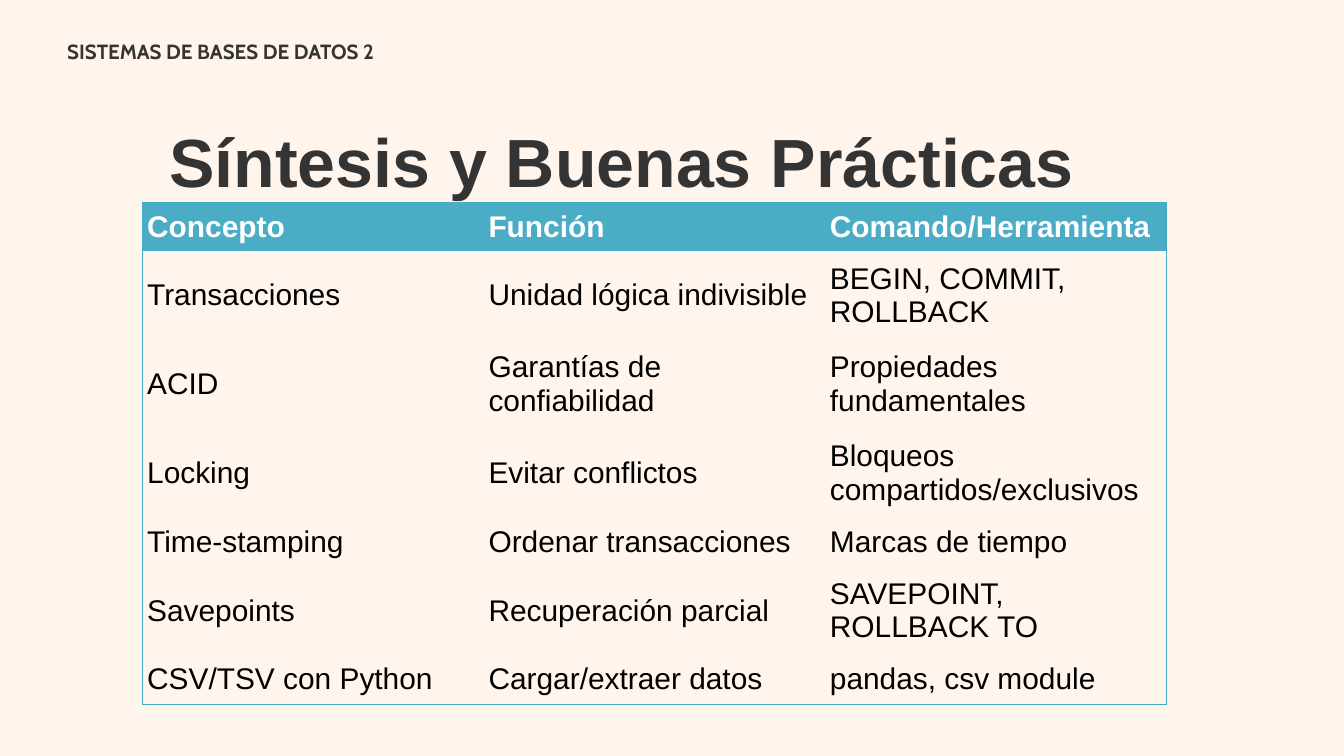
from lxml import etree
from pptx import Presentation
from pptx.dml.color import RGBColor
from pptx.enum.text import MSO_ANCHOR
from pptx.oxml.ns import qn
from pptx.util import Inches, Pt

MIDDLE = MSO_ANCHOR.MIDDLE
CREAM = RGBColor(0xFF, 0xF5, 0xEC)
CHARCOAL = RGBColor(0x34, 0x34, 0x34)
TEAL = RGBColor(0x4B, 0xAC, 0xC6)
BORDER = RGBColor(0x46, 0xAA, 0xC5)
WHITE = RGBColor(0xFF, 0xFF, 0xFF)
BLACK = RGBColor(0x00, 0x00, 0x00)

# The slide is a grid of 20 columns by 11.25 rows of one unit
U = Inches(1)

ROWS = [
    ("Concepto", "Función", "Comando/Herramienta"),
    ("Transacciones", "Unidad lógica indivisible", "BEGIN, COMMIT, ROLLBACK"),
    ("ACID", "Garantías de confiabilidad", "Propiedades fundamentales"),
    ("Locking", "Evitar conflictos", "Bloqueos compartidos/exclusivos"),
    ("Time-stamping", "Ordenar transacciones", "Marcas de tiempo"),
    ("Savepoints", "Recuperación parcial", "SAVEPOINT, ROLLBACK TO"),
    ("CSV/TSV con Python", "Cargar/extraer datos", "pandas, csv module"),
]
ONE_LINE, TWO_LINES = 0.73, 1.32
HEIGHTS = [ONE_LINE] + [TWO_LINES] * 3 + [ONE_LINE, TWO_LINES, ONE_LINE]
COL_WIDTH = 5.08


def style(p, font, size, color, bold):
    f = p.runs[0].font
    f.name, f.size, f.bold = font, Pt(size), bold
    f.color.rgb = color


def set_borders(cell, sides):
    """Draw the outer sides of a cell and clear the rest."""
    tcPr = cell._tc.get_or_add_tcPr()
    for i, side in enumerate("LRTB"):
        ln = etree.Element(qn(f"a:ln{side}"), w=str(Pt(0.75)))
        if side in sides:
            fill = etree.SubElement(ln, qn("a:solidFill"))
            etree.SubElement(fill, qn("a:srgbClr"), val=str(BORDER))
        else:
            etree.SubElement(ln, qn("a:noFill"))
        tcPr.insert(i, ln)


prs = Presentation()
prs.slide_width, prs.slide_height = int(20 * U), int(11.25 * U)
s = prs.slides.add_slide(prs.slide_layouts[6])
s.background.fill.solid()
s.background.fill.fore_color.rgb = CREAM

# Course name and title
for text, box, font, size, spacing in [
    ("SISTEMAS DE BASES DE DATOS 2", (1, 0.58, 7.08, 0.33), "Cabin", 22, 1.01),
    ("Síntesis y Buenas Prácticas", (2.52, 1.29, 16.8, 1.72), "Arial", 73, 1.4),
]:
    tf = s.shapes.add_textbox(*(int(v * U) for v in box)).text_frame
    tf.word_wrap = True
    tf.margin_left = tf.margin_right = tf.margin_top = tf.margin_bottom = 0
    tf.text = text
    p = tf.paragraphs[0]
    p.line_spacing = spacing
    style(p, font, size, CHARCOAL, True)

# Summary table
last_row, last_col = len(ROWS) - 1, len(ROWS[0]) - 1
table = s.shapes.add_table(
    len(ROWS), len(ROWS[0]), int(2.12 * U), int(3.01 * U),
    int(COL_WIDTH * len(ROWS[0]) * U), int(sum(HEIGHTS) * U)).table
table.horz_banding = False
for column in table.columns:
    column.width = int(COL_WIDTH * U)

for r, texts in enumerate(ROWS):
    table.rows[r].height = int(HEIGHTS[r] * U)
    header = r == 0
    for c, text in enumerate(texts):
        cell = table.cell(r, c)
        cell.text = text
        cell.vertical_anchor = MIDDLE
        cell.margin_left = cell.margin_right = int(0.07 * U)
        cell.margin_top = cell.margin_bottom = int(0.07 * U)
        style(cell.text_frame.paragraphs[0], "Arial", 32,
              WHITE if header else BLACK, header)
        if header:
            cell.fill.solid()
            cell.fill.fore_color.rgb = TEAL
        else:
            cell.fill.background()
        edges = {"L": c == 0, "R": c == last_col, "T": header, "B": r == last_row}
        set_borders(cell, [side for side, outer in edges.items() if outer])

prs.save("out.pptx")
